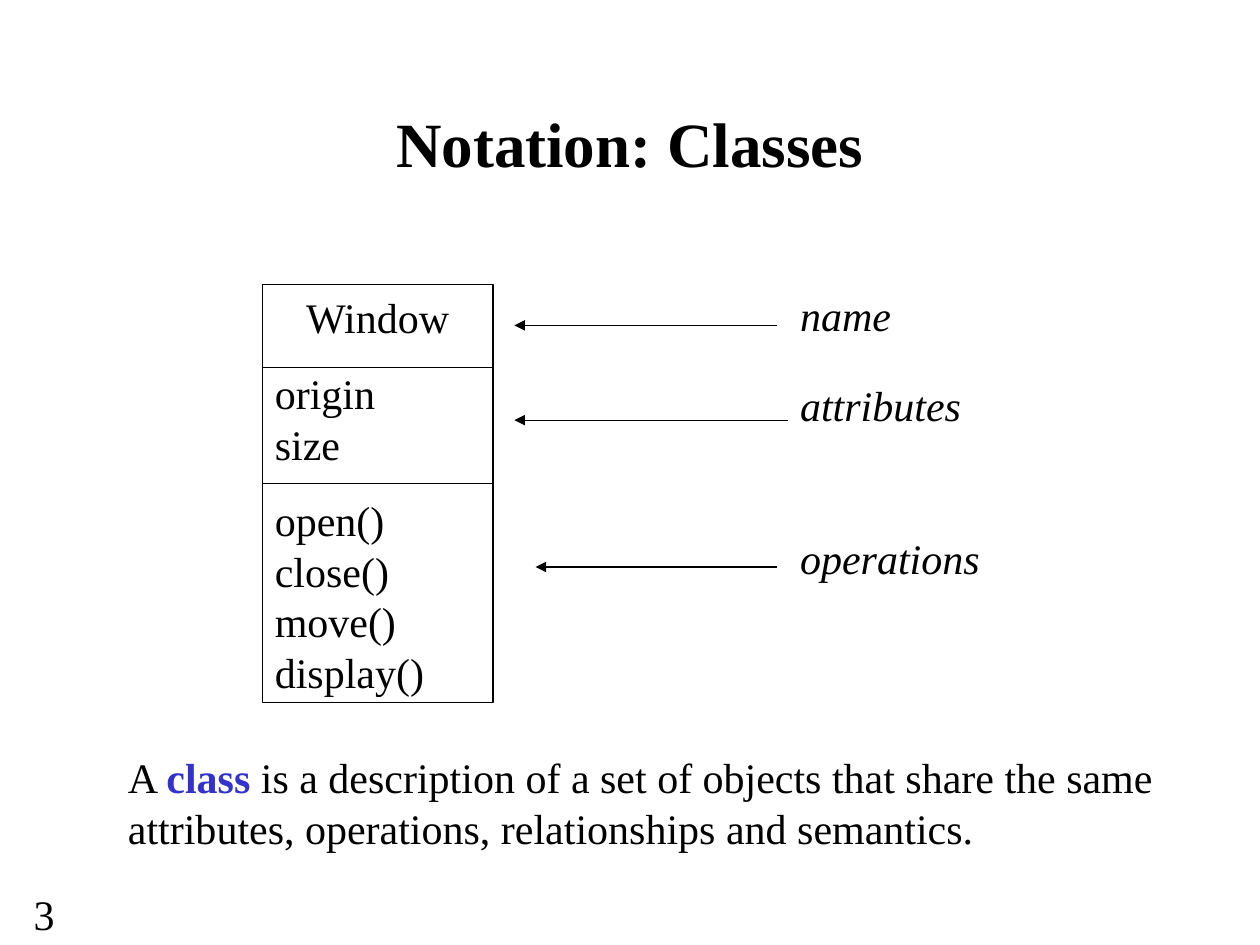
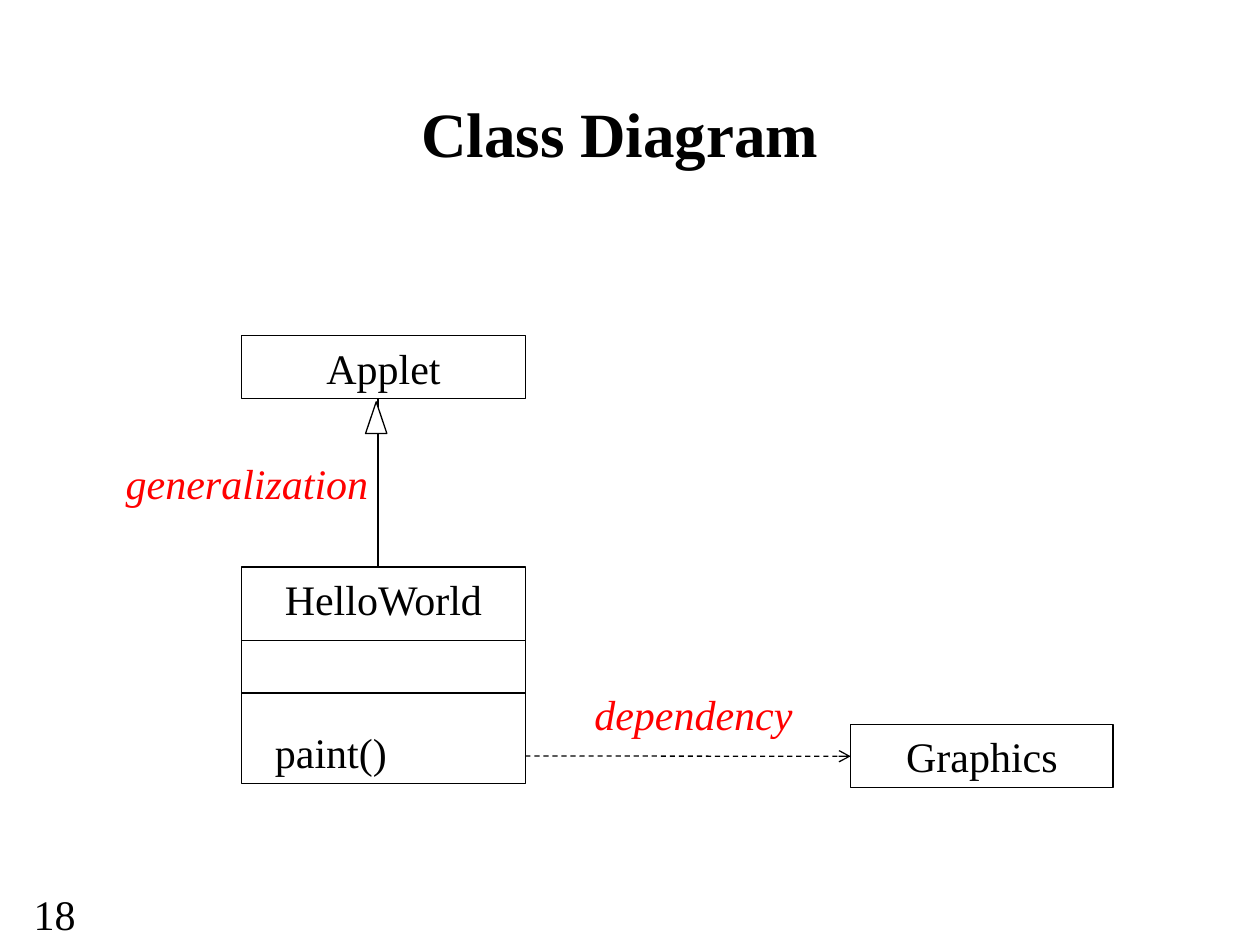
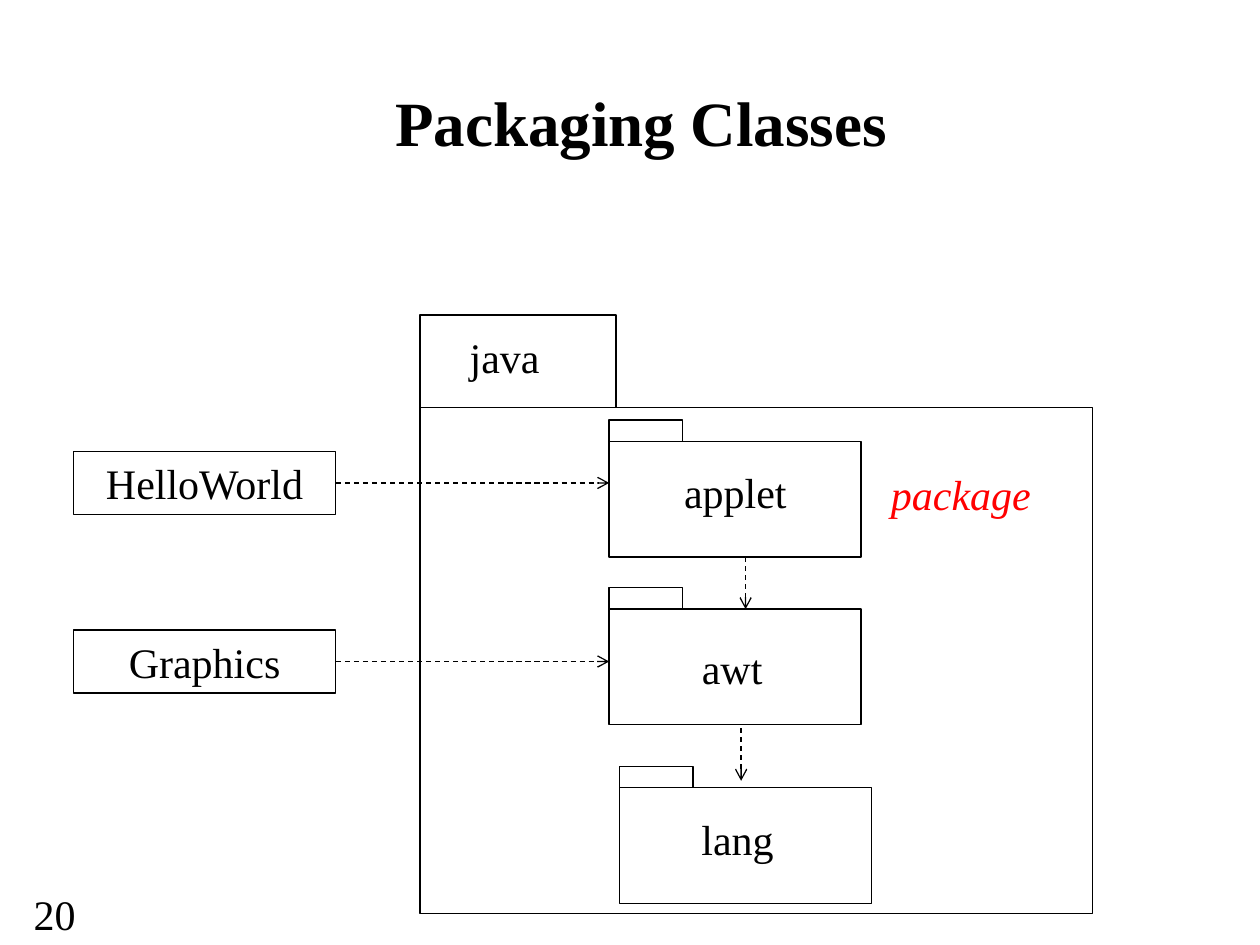
from lxml import etree
from pptx import Presentation
from pptx.dml.color import RGBColor
from pptx.enum.dml import MSO_LINE
from pptx.enum.shapes import MSO_CONNECTOR, MSO_SHAPE
from pptx.enum.text import MSO_ANCHOR, PP_ALIGN
from pptx.oxml.ns import qn
from pptx.util import Cm, Pt

RECTANGLE = MSO_SHAPE.RECTANGLE
TRIANGLE = MSO_SHAPE.ISOSCELES_TRIANGLE
STRAIGHT = MSO_CONNECTOR.STRAIGHT
DASH = MSO_LINE.DASH
TOP, MIDDLE = MSO_ANCHOR.TOP, MSO_ANCHOR.MIDDLE
LEFT, CENTER = PP_ALIGN.LEFT, PP_ALIGN.CENTER
LEFT_SIDE, RIGHT_SIDE = 1, 3

BLACK, WHITE, RED, BLUE = "000000", "FFFFFF", "FF0000", "3333CC"
BODY = {"name": "Times New Roman", "size": Pt(24), "bold": False, "italic": False}
HEADING = BODY | {"size": Pt(36), "bold": True}
ITALIC = BODY | {"italic": True}
BOLD = BODY | {"bold": True}

TITLE_SIZE = (21.59, 3.18)
ROW_HEIGHT = 1.27
CLASS_WIDTH = 5.29
PACKAGE_WIDTH, PACKAGE_HEIGHT = 5.08, 2.33
TAB_WIDTH, TAB_HEIGHT, TAB_RISE = 1.48, 0.64, 0.43
PARAGRAPH_GAP = Pt(15)
SKIPPED_ROW = Pt(58.8)


def colour(value):
    return RGBColor.from_string(value)


def lengths(box):
    return [Cm(value) for value in box]


def set_values(target, values):
    for name, value in values.items():
        setattr(target, name, value)


def write_span(para, text, style=BODY, ink=BLACK):
    span = para.add_run()
    span.text = text
    set_values(span.font, style)
    span.font.color.rgb = colour(ink)


def write(shape, rows, align=LEFT, anchor=TOP, style=BODY, ink=BLACK):
    frame = shape.text_frame
    set_values(frame, {"word_wrap": True, "vertical_anchor": anchor})
    for index, (text, values) in enumerate(rows):
        para = frame.add_paragraph() if index else frame.paragraphs[0]
        set_values(para, {"alignment": align} | values)
        write_span(para, text, style, ink)


def add_text(shapes, box, rows, **look):
    label = shapes.add_textbox(*lengths(box))
    write(label, rows, **look)
    return label


def add_label(shapes, box, text, **look):
    return add_text(shapes, box, [(text, {})], align=CENTER, **look)


def add_outline(shapes, box, fill=None, preset=RECTANGLE):
    shape = shapes.add_shape(preset, *lengths(box))
    shape.shadow.inherit = False
    shape.line.color.rgb = colour(BLACK)
    shape.line.width = Pt(0.75)
    if fill:
        shape.fill.solid()
        shape.fill.fore_color.rgb = colour(fill)
    else:
        shape.fill.background()
    return shape


def add_line(shapes, start, end, head=None, dash=None):
    line = shapes.add_connector(STRAIGHT, *lengths(start + end))
    line.line.color.rgb = colour(BLACK)
    set_values(line.line, {"width": Pt(0.75), "dash_style": dash})
    if head:
        etree.SubElement(line.line._get_or_add_ln(), qn("a:tailEnd"), type=head)
    etree.SubElement(line._element.spPr, qn("a:effectLst"))
    return line


def add_dependency(shapes, start, end):
    return add_line(shapes, start, end, "arrow", DASH)


def add_class(shapes, box, rows, dividers=(), anchor=TOP):
    left, top, width, height = box
    shape = add_outline(shapes, box)
    write(shape, rows, anchor=anchor)
    for offset in dividers:
        add_line(shapes, (left, top + offset), (left + width, top + offset))
    return shape


def add_simple_class(shapes, left, top, name, width=CLASS_WIDTH):
    box = (left, top, width, ROW_HEIGHT)
    return add_class(shapes, box, [(name, {"alignment": CENTER})])


def add_package(shapes, left, top, name, label_offset, label_width):
    group = shapes.add_group_shape().shapes
    add_outline(group, (left, top, TAB_WIDTH, TAB_HEIGHT))
    add_outline(group, (left, top + TAB_RISE, PACKAGE_WIDTH, PACKAGE_HEIGHT), WHITE)
    across, down = label_offset
    add_label(group, (left + across, top + down, label_width, ROW_HEIGHT), name)


def add_page(deck, title, left, top, number):
    page = deck.slides.add_slide(deck.slide_layouts[5])
    heading = page.shapes.title
    names = ("left", "top", "width", "height")
    set_values(heading, dict(zip(names, lengths((left, top) + TITLE_SIZE))))
    write(heading, [(title, {})], CENTER, MIDDLE, HEADING)
    add_text(page.shapes, (0.43, 17.78, 1.7, ROW_HEIGHT), [(number, {})])
    return page.shapes


def build_notation(deck):
    shapes = add_page(deck, "Notation: Classes", 1.9, 1.27, "3")
    gap = {"space_before": PARAGRAPH_GAP}
    members = [("Window", {"alignment": CENTER}), ("origin", gap), ("size", {}),
               ("open()", gap), ("close()", {}), ("move()", {}), ("display()", {})]
    add_class(shapes, (5.29, 5.74, 4.65, 8.43), members, (1.67, 4), MIDDLE)

    parts = [("name", {}), ("attributes", {"space_before": Pt(22.5)}),
             ("operations", {"space_before": SKIPPED_ROW})]
    add_text(shapes, (15.88, 5.72, 4.87, 6.17), parts, style=ITALIC)
    for start, end, level in ((15.67, 10.37, 6.56), (15.88, 10.37, 8.47),
                              (15.67, 10.8, 11.43)):
        add_line(shapes, (start, level), (end, level), "triangle")

    definition = add_text(shapes, (2.33, 15.03, 21.59, 2.3), [("A ", {})])
    para = definition.text_frame.paragraphs[0]
    write_span(para, "class", BOLD, BLUE)
    write_span(para, " is a description of a set of objects that share the same "
                     "attributes, operations, relationships and semantics.")


def build_class_diagram(deck):
    shapes = add_page(deck, "Class Diagram", 1.7, 1.07, "18")
    left, width, child_top = 4.87, 5.72, 11.43
    add_simple_class(shapes, left, 6.77, "Applet", width)
    members = [("HelloWorld", {"alignment": CENTER}),
               ("paint()", {"space_before": SKIPPED_ROW})]
    group = shapes.add_group_shape().shapes
    child = add_class(group, (left, child_top, width, 4.37), members, (1.48, 2.54))
    operation = child.text_frame.paragraphs[1]
    set_indent = operation._p.get_or_add_pPr().set
    set_indent("marL", str(Pt(12)))

    add_line(shapes, (7.62, child_top), (7.62, 8.04))
    add_outline(shapes, (7.37, 8.1, 0.43, 0.64), WHITE, TRIANGLE)
    graphics = add_simple_class(shapes, 17.15, 14.61, "Graphics")
    dependency = add_dependency(shapes, (left + width, 15.24), (17.15, 15.24))
    dependency.end_connect(graphics, LEFT_SIDE)
    add_label(shapes, (1.7, 9.1, 6.56, ROW_HEIGHT), "generalization", style=ITALIC, ink=RED)
    add_label(shapes, (9.96, 13.76, 8.04, ROW_HEIGHT), "dependency", style=ITALIC, ink=RED)


def build_packaging(deck):
    shapes = add_page(deck, "Packaging Classes", 2.13, 0.86, "20")
    folder = shapes.add_group_shape().shapes
    add_outline(folder, (8.47, 6.35, 3.95, 2.8))
    add_outline(folder, (8.47, 8.21, 13.55, 10.21), WHITE)
    add_label(shapes, (8.69, 6.55, 2.97, ROW_HEIGHT), "java")

    for left, top, name, label_offset, label_width in (
            (12.28, 8.47, "applet", (0.32, 0.8), 4.45),
            (12.28, 11.85, "awt", (1.11, 0.98), 2.74),
            (12.49, 15.45, "lang", (0.79, 0.83), 3.18)):
        add_package(shapes, left, top, name, label_offset, label_width)

    for top, name in ((9.1, "HelloWorld"), (12.7, "Graphics")):
        user = add_simple_class(shapes, 1.48, top, name)
        level = top + ROW_HEIGHT / 2
        link = add_dependency(shapes, (1.48 + CLASS_WIDTH, level), (12.28, level))
        link.begin_connect(user, RIGHT_SIDE)
    for across, start, end in ((15.03, 11.23, 12.28), (14.94, 14.68, 15.74)):
        add_dependency(shapes, (across, start), (across, end))
    add_label(shapes, (17.57, 9.32, 3.6, ROW_HEIGHT), "package", style=ITALIC, ink=RED)


def main():
    deck = Presentation()
    set_values(deck, {"slide_width": Cm(25.4), "slide_height": Cm(19.05)})
    build_notation(deck)
    build_class_diagram(deck)
    build_packaging(deck)
    deck.save("out.pptx")


if __name__ == "__main__":
    main()
